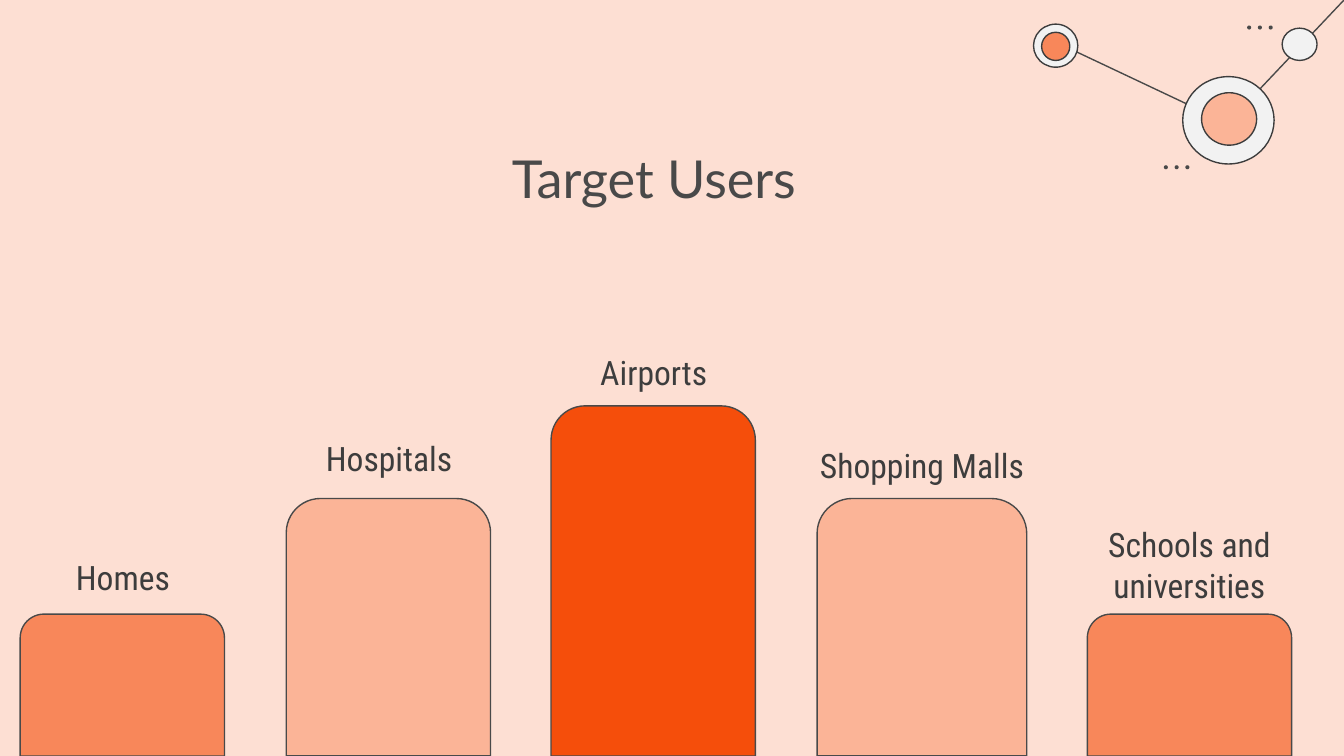
from lxml import etree
from pptx import Presentation
from pptx.dml.color import RGBColor
from pptx.enum.shapes import MSO_CONNECTOR, MSO_SHAPE
from pptx.enum.text import MSO_ANCHOR, PP_ALIGN
from pptx.oxml.ns import qn
from pptx.util import Inches, Pt

STRAIGHT = MSO_CONNECTOR.STRAIGHT
OVAL = MSO_SHAPE.OVAL
NODE = MSO_SHAPE.FLOWCHART_CONNECTOR
ROUND_TOP = MSO_SHAPE.ROUND_2_SAME_RECTANGLE
TOP = MSO_ANCHOR.TOP
CENTER = PP_ALIGN.CENTER

COLORS = {
    "background": "FDDFD3",
    "outline": "494949",
    "ink": "3D3D3D",
    "node": "F2F2F2",
    "strong": "F54E0B",
    "medium": "F8875A",
    "light": "FBB497",
}
TITLE_FONT = "Lato"
LABEL_FONT = "Roboto Condensed"
SLIDE_WIDTH = 10
SLIDE_HEIGHT = SLIDE_WIDTH * 9 / 16
DOT_SIZE, DOT_STEP = 0.03, 0.08

LINKS = [((9.14, 0.92), (7.87, 0.32)), ((10, 0), (9.14, 0.91))]
DOT_ROWS = [(9.28, 0.19), (8.66, 1.23)]
NODES = [
    ((7.69, 0.18, 0.33, 0.32), "node"),
    ((7.75, 0.24, 0.21, 0.21), "medium"),
    ((9.54, 0.21, 0.26, 0.24), "node"),
    ((8.8, 0.57, 0.68, 0.65), "node"),
    ((8.94, 0.69, 0.41, 0.39), "light"),
]
BARS = [
    (0.15, 4.57, 1.52, "medium"),
    (2.13, 3.71, 1.52, "light"),
    (4.1, 3.02, 1.52, "strong"),
    (6.08, 3.71, 1.56, "light"),
    (8.09, 4.57, 1.52, "medium"),
]
LABELS = [
    ("Homes", (-0.2, 4.04, 2.23, 0.48)),
    ("Hospitals", (2.32, 3.16, 1.15, 0.44)),
    ("Airports", (4.35, 2.52, 1.03, 0.44)),
    ("Shopping Malls", (5.97, 3.21, 1.78, 0.44)),
    ("Schools and universities", (8.09, 3.8, 1.52, 0.72)),
]


def color(name):
    """Return the named colour."""
    return RGBColor.from_string(COLORS[name])


def add_figure(page, kind, area, fill, line=None):
    """Add a filled preset shape, outlined when a line colour is given."""
    figure = page.shapes.add_shape(kind, *map(Inches, area))
    figure.shadow.inherit = False
    figure.fill.solid()
    figure.fill.fore_color.rgb = color(fill)
    if line:
        figure.line.color.rgb = color(line)
        figure.line.width = Pt(0.75)
    else:
        figure.line.fill.background()
    return figure


def add_link(page, start, end):
    """Add a thin straight line between two points."""
    link = page.shapes.add_connector(STRAIGHT, *map(Inches, start + end))
    link.line.color.rgb = color("outline")
    link.line.width = Pt(0.75)
    etree.SubElement(link._element.spPr, qn("a:effectLst"))


def add_dots(page, left, top):
    """Add a row of three small dots."""
    for index in range(3):
        area = (left + index * DOT_STEP, top, DOT_SIZE, DOT_SIZE)
        add_figure(page, OVAL, area, "outline")


def add_bar(page, left, top, width, fill):
    """Add a bar with a rounded top that stands on the slide's bottom edge."""
    area = (left, top, width, SLIDE_HEIGHT - top)
    bar = add_figure(page, ROUND_TOP, area, fill, "outline")
    bar.adjustments[0] = 0.167
    bar.adjustments[1] = 0


def add_text(page, text, area, font, size, ink):
    """Add a centred text box."""
    box = page.shapes.add_textbox(*map(Inches, area))
    frame = box.text_frame
    frame.word_wrap = True
    frame.vertical_anchor = TOP
    frame.margin_left = frame.margin_right = Inches(0.1)
    frame.margin_top = frame.margin_bottom = Inches(0.1)
    frame.text = text
    para = frame.paragraphs[0]
    para.alignment = CENTER
    span = para.runs[0]
    span.font.name = font
    span.font.size = Pt(size)
    span.font.color.rgb = color(ink)


def main():
    """Build the target users slide."""
    deck = Presentation()
    deck.slide_width = Inches(SLIDE_WIDTH)
    deck.slide_height = Inches(SLIDE_HEIGHT)
    page = deck.slides.add_slide(deck.slide_layouts[6])
    page.background.fill.solid()
    page.background.fill.fore_color.rgb = color("background")

    for start, end in LINKS:
        add_link(page, start, end)
    for left, top in DOT_ROWS:
        add_dots(page, left, top)
    for area, fill in NODES:
        add_figure(page, NODE, area, fill, "ink")

    add_text(page, "Target Users", (2.28, 0.99, 5.17, 0.63), TITLE_FONT, 28, "outline")
    for bar in BARS:
        add_bar(page, *bar)
    for text, area in LABELS:
        add_text(page, text, area, LABEL_FONT, 18, "ink")

    deck.save("out.pptx")


if __name__ == "__main__":
    main()
